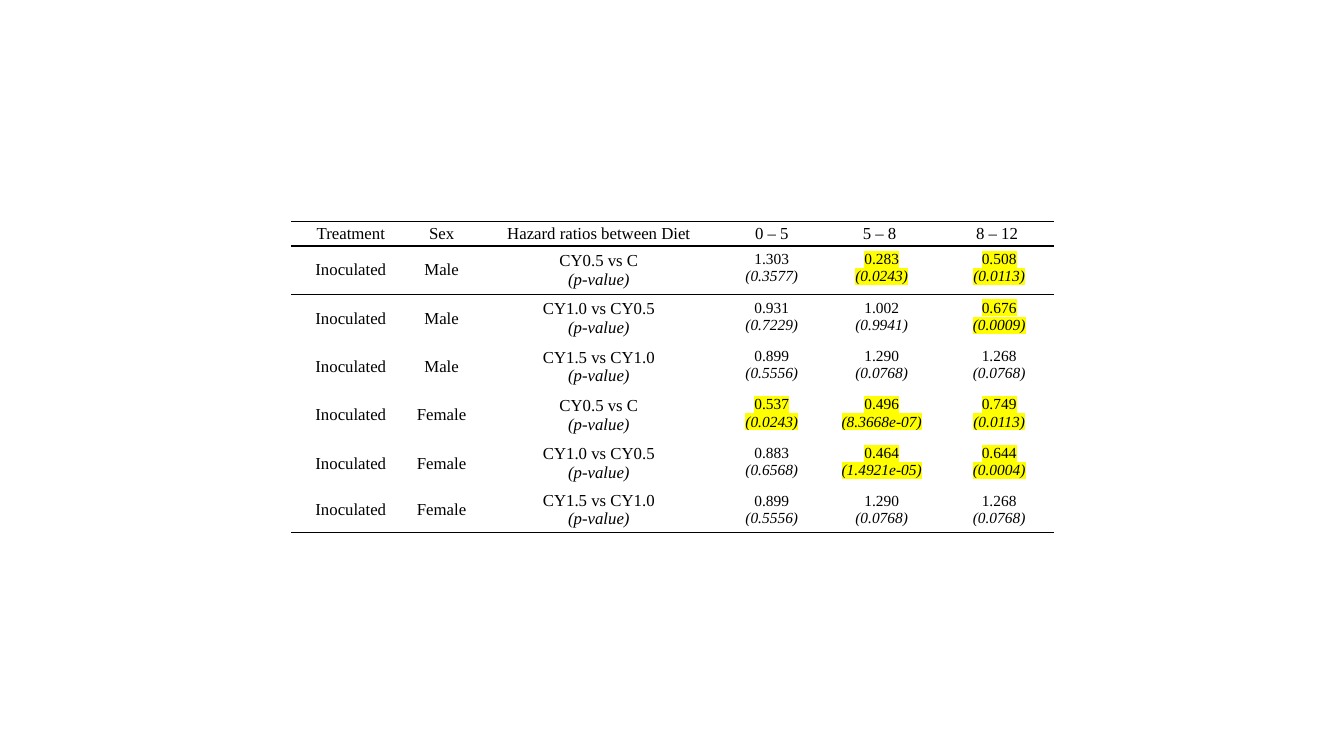
from dataclasses import dataclass

from lxml.etree import SubElement
from pptx import Presentation
from pptx.dml.color import RGBColor as Rgb
from pptx.enum.text import MSO_ANCHOR as Anchor, PP_ALIGN as Align
from pptx.oxml import parse_xml
from pptx.oxml.ns import nsdecls, qn
from pptx.util import Inches, Pt


@dataclass(frozen=True)
class Theme:
    font: str = "Times New Roman"
    ink: str = "000000"
    marker: str = "FFFF00"
    label_size: int = 12
    value_size: int = 11
    rule_width: int = 1


THEME = Theme()
PLAIN_STYLE = "{2D5ABB26-0587-4C30-8999-92F81FD0307C}"
SIGNIFICANCE = 0.05

LEFT, TOP = 2.89, 2.2
COLUMNS = [1.18, 0.62, 2.5, 0.93, 1.25, 1.08]
ROWS = [0.24] + [0.48] * 5 + [0.38]

HEADINGS = ["Treatment", "Sex", "Hazard ratios between Diet", "0 – 5", "5 – 8 ", "8 – 12 "]
COMPARISONS = ["CY0.5 vs C", "CY1.0 vs CY0.5", "CY1.5 vs CY1.0"]
# For each sex and comparison: a hazard ratio and its p-value per period.
RESULTS = {
    "Male": [
        [("1.303", "0.3577"), ("0.283", "0.0243"), ("0.508", "0.0113")],
        [("0.931", "0.7229"), ("1.002", "0.9941"), ("0.676", "0.0009")],
        [("0.899", "0.5556"), ("1.290", "0.0768"), ("1.268", "0.0768")],
    ],
    "Female": [
        [("0.537", "0.0243"), ("0.496", "8.3668e-07"), ("0.749", "0.0113")],
        [("0.883", "0.6568"), ("0.464", "1.4921e-05"), ("0.644", "0.0004")],
        [("0.899", "0.5556"), ("1.290", "0.0768"), ("1.268", "0.0768")],
    ],
}


def set_insets(cell, side, end):
    cell.margin_left = cell.margin_right = Inches(side)
    cell.margin_top = cell.margin_bottom = Inches(end)


def highlight(span):
    marker = SubElement(span.font._element, qn("a:highlight"))
    SubElement(marker, qn("a:srgbClr"), val=THEME.marker)


def write_lines(cell, lines, size, marked=False):
    """Write one centred paragraph per line; lines after the first are italic."""
    for number, line in enumerate(lines):
        para = cell.text_frame.paragraphs[0] if number == 0 else cell.text_frame.add_paragraph()
        para.alignment = Align.CENTER
        font = para.font
        font.name, font.size = THEME.font, Pt(size)
        font.bold, font.italic = False, number > 0
        font.color.rgb = Rgb.from_string(THEME.ink)
        span = para.add_run()
        span.text = line
        if marked:
            highlight(span)


def write_label(cell, *lines):
    set_insets(cell, 0.05, 0.02)
    cell.vertical_anchor = Anchor.MIDDLE
    write_lines(cell, lines, THEME.label_size)


def write_result(cell, ratio, p_value):
    set_insets(cell, 0.1, 0.05)
    cell.vertical_anchor = Anchor.TOP
    marked = float(p_value) < SIGNIFICANCE
    write_lines(cell, [ratio, f"({p_value})"], THEME.value_size, marked)


def rule_row(table, row, *sides):
    """Draw rules on the given sides ("T", "B") of every cell in a row."""
    for column in range(len(COLUMNS)):
        properties = table.cell(row, column)._tc.get_or_add_tcPr()
        for position, side in enumerate(sides):
            properties.insert(position, parse_xml(
                f'<a:ln{side} {nsdecls("a")} w="{Pt(THEME.rule_width)}"><a:solidFill>'
                f'<a:srgbClr val="{THEME.ink}"/></a:solidFill></a:ln{side}>'))


def add_plain_table(page):
    frame = page.shapes.add_table(
        len(ROWS), len(COLUMNS), Inches(LEFT), Inches(TOP),
        Inches(sum(COLUMNS)), Inches(sum(ROWS)))
    table = frame.table
    table.first_row = table.horz_banding = False
    table._tbl.tblPr.find(qn("a:tableStyleId")).text = PLAIN_STYLE
    for column, width in zip(table.columns, COLUMNS):
        column.width = Inches(width)
    for row, height in zip(table.rows, ROWS):
        row.height = Inches(height)
    for cell in table.iter_cells():
        cell.fill.background()
    return table


def fill_table(table):
    for column, heading in enumerate(HEADINGS):
        write_label(table.cell(0, column), heading)
    records = [(sex, comparison, results) for sex, groups in RESULTS.items()
               for comparison, results in zip(COMPARISONS, groups)]
    for row, (sex, comparison, results) in enumerate(records, start=1):
        write_label(table.cell(row, 0), "Inoculated")
        write_label(table.cell(row, 1), sex)
        write_label(table.cell(row, 2), comparison, "(p-value)")
        for column, result in enumerate(results, start=3):
            write_result(table.cell(row, column), *result)


def main():
    deck = Presentation()
    deck.slide_width, deck.slide_height = Inches(13.33), Inches(7.5)
    page = deck.slides.add_slide(deck.slide_layouts[6])
    table = add_plain_table(page)
    fill_table(table)
    rule_row(table, 0, "T", "B")
    rule_row(table, 1, "T")
    rule_row(table, len(ROWS) - 1, "B")
    deck.save("out.pptx")


if __name__ == "__main__":
    main()
